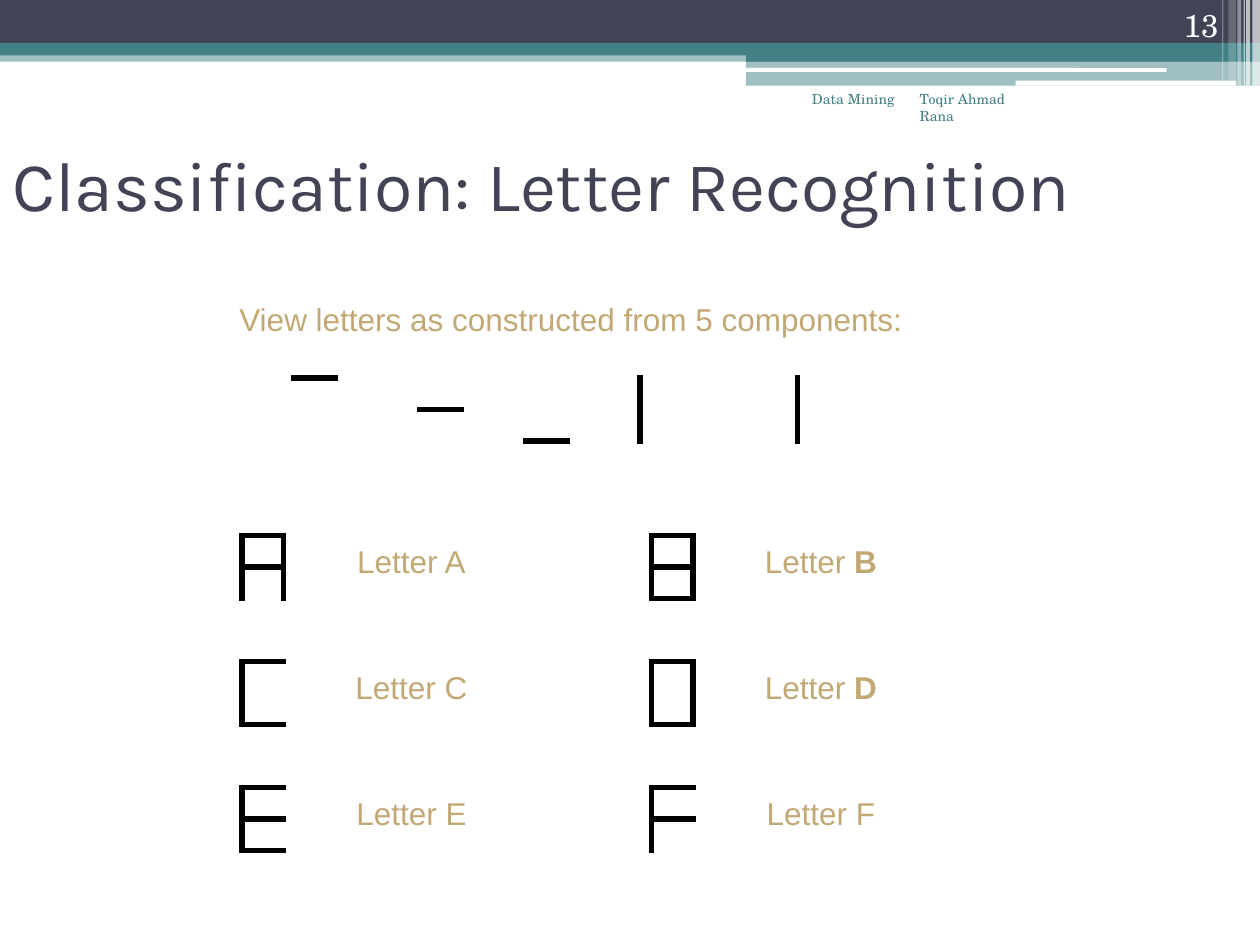
import pptx
import pptx.util
import pptx.dml.color
import pptx.enum.shapes
import pptx.enum.text
import pptx.oxml.ns
from lxml import etree
from pptx.util import Inches

COLORS = {
    "navy": "424456",
    "teal": "438086",
    "white": "FFFFFF",
    "tan": "C2A874",
    "black": "000000",
}
SERIF = "TeX Gyre Schola"
SHAPE = pptx.enum.shapes.MSO_SHAPE
ALIGN = pptx.enum.text.PP_ALIGN
ANCHOR = pptx.enum.text.MSO_ANCHOR

# Strokes as (x1, y1, x2, y2) fractions of a letter's box
STROKES = {
    "top": (0, 0, 1, 0),
    "middle": (0, 0.5, 1, 0.5),
    "bottom": (0, 1, 1, 1),
    "left": (0, 0, 0, 1),
    "right": (1, 0, 1, 1),
}
LETTERS = {
    "A": ("top", "middle", "left", "right"),
    "B": ("top", "middle", "bottom", "left", "right"),
    "C": ("top", "bottom", "left"),
    "D": ("top", "bottom", "left", "right"),
    "E": ("top", "middle", "bottom", "left"),
    "F": ("top", "middle", "left"),
}
BOLD_LETTERS = "BD"
GLYPH_WIDTH, GLYPH_HEIGHT = 0.33, 0.5


def rgb(name):
    return pptx.dml.color.RGBColor.from_string(COLORS[name])


def style_run(run, font, size, color, bold=None):
    run.font.name = font
    run.font.size = pptx.util.Pt(size)
    run.font.color.rgb = rgb(color)
    run.font.bold = bold


def add_band(slide, box, color, opacity=100, rounded=False):
    kind = SHAPE.ROUNDED_RECTANGLE if rounded else SHAPE.RECTANGLE
    band = slide.shapes.add_shape(kind, *map(Inches, box))
    band.shadow.inherit = False
    band.line.fill.background()
    band.fill.solid()
    band.fill.fore_color.rgb = rgb(color)
    if opacity < 100:
        srgb = band.fill._xPr.find(".//" + pptx.oxml.ns.qn("a:srgbClr"))
        etree.SubElement(srgb, pptx.oxml.ns.qn("a:alpha"), val=str(opacity * 1000))


def add_label(slide, box, texts, font, size, color, align,
              wrap=True, anchor=ANCHOR.TOP):
    """Add one paragraph made of (text, bold) pairs."""
    label = slide.shapes.add_textbox(*map(Inches, box))
    frame = label.text_frame
    frame.word_wrap = wrap
    frame.vertical_anchor = anchor
    paragraph = frame.paragraphs[0]
    paragraph.alignment = align
    for text, bold in texts:
        run = paragraph.add_run()
        run.text = text
        style_run(run, font, size, color, bold)


def add_stroke(slide, left, top, part):
    """Draw one component within the letter box at left, top."""
    x1, y1, x2, y2 = STROKES[part]
    stroke = slide.shapes.add_connector(
        pptx.enum.shapes.MSO_CONNECTOR.STRAIGHT,
        Inches(left + x1 * GLYPH_WIDTH), Inches(top + y1 * GLYPH_HEIGHT),
        Inches(left + x2 * GLYPH_WIDTH), Inches(top + y2 * GLYPH_HEIGHT))
    stroke.line.color.rgb = rgb("black")
    stroke.line.width = pptx.util.Pt(3)
    stroke.line._get_or_add_ln().set("cap", "sq")
    etree.SubElement(stroke._element.spPr, pptx.oxml.ns.qn("a:effectLst"))


def add_header(slide, left, top, width):
    """Draw the banner, its stripes and the running texts."""
    right = left + width
    # Full-width bands
    add_band(slide, (left, top + 0.4, width, 0.09), "teal", 50)
    add_band(slide, (left, top, width, 0.34), "navy")
    add_band(slide, (left, top + 0.34, width, 0.1), "teal")
    # Right-hand step
    add_band(slide, (right - 4.08, top + 0.39, 4.08, 0.1), "teal")
    add_band(slide, (right - 4.08, top + 0.48, 4.08, 0.2), "teal", 50)
    add_band(slide, (right - 4.09, top + 0.54, 3.35, 0.03), "white", rounded=True)
    add_band(slide, (right - 1.94, top + 0.64, 1.75, 0.04), "white", rounded=True)
    # Vertical stripes: distance from the right edge, width, height, opacity
    for offset, thickness, height, opacity in (
            (0.06, 0.06, 0.68, 65), (0.11, 0.03, 0.68, 65),
            (0.13, 0.01, 0.68, 60), (0.18, 0.03, 0.68, 40),
            (0.25, 0.06, 0.64, 20), (0.3, 0.01, 0.64, 30)):
        add_band(slide, (right - offset, top, thickness, height), "white", opacity)
    # Running texts and slide number
    add_label(slide, (right - 4.25, top + 0.67, 1.45, 0.5),
              [("Data Mining", None)], SERIF, 8, "teal", ALIGN.RIGHT)
    add_label(slide, (right - 2.8, top + 0.67, 1.05, 0.5),
              [("Toqir Ahmad Rana", None)], SERIF, 8, "teal", ALIGN.LEFT)
    add_label(slide, (right - 1.06, top, 0.83, 0.4),
              [("13", None)], SERIF, 18, "white", ALIGN.RIGHT, anchor=ANCHOR.BOTTOM)


def add_title(slide, left, top, width, height):
    title = slide.shapes.title
    title.left, title.top = Inches(left), Inches(top)
    title.width, title.height = Inches(width), Inches(height)
    title.text_frame.text = "Classification: Letter Recognition"
    title.text_frame.vertical_anchor = ANCHOR.MIDDLE
    paragraph = title.text_frame.paragraphs[0]
    paragraph.alignment = ALIGN.LEFT
    style_run(paragraph.runs[0], "Karla", 40, "navy")


def add_components(slide, left, top, width):
    """Show the introduction and the five strokes below it."""
    add_label(slide, (left, top, width, 0.5),
              [("View letters as constructed from 5 components:", None)],
              "Arial", 18, "tan", ALIGN.CENTER, wrap=False)
    offsets = (1.41, 2.41, 3.25, 4.16, 5.08)
    for part, offset in zip(STROKES, offsets):
        add_stroke(slide, left + offset, top + 0.67, part)


def add_letters(slide, left, top, column_step, row_step):
    """Lay the six letters out in two columns, row by row."""
    for index, (letter, parts) in enumerate(LETTERS.items()):
        row, column = divmod(index, 2)
        x, y = left + column * column_step, top + row * row_step
        for part in parts:
            add_stroke(slide, x, y, part)
        bold = True if letter in BOLD_LETTERS else None
        add_label(slide, (x + 0.65, y, 1.39, 0.5),
                  [("Letter ", None), (letter, bold)],
                  "Arial", 18, "tan", ALIGN.CENTER, wrap=False)


def main():
    deck = pptx.Presentation()
    deck.slide_width, deck.slide_height = Inches(10), Inches(7.5)
    slide = deck.slides.add_slide(deck.slide_layouts.get_by_name("Title Only"))
    add_header(slide, 0, 0, 10)
    add_title(slide, 0, 0.83, 9.5, 1.25)
    add_components(slide, 0.92, 2.33, 7.22)
    add_letters(slide, 1.92, 4.25, 3.25, 1)
    deck.save("out.pptx")


if __name__ == "__main__":
    main()
